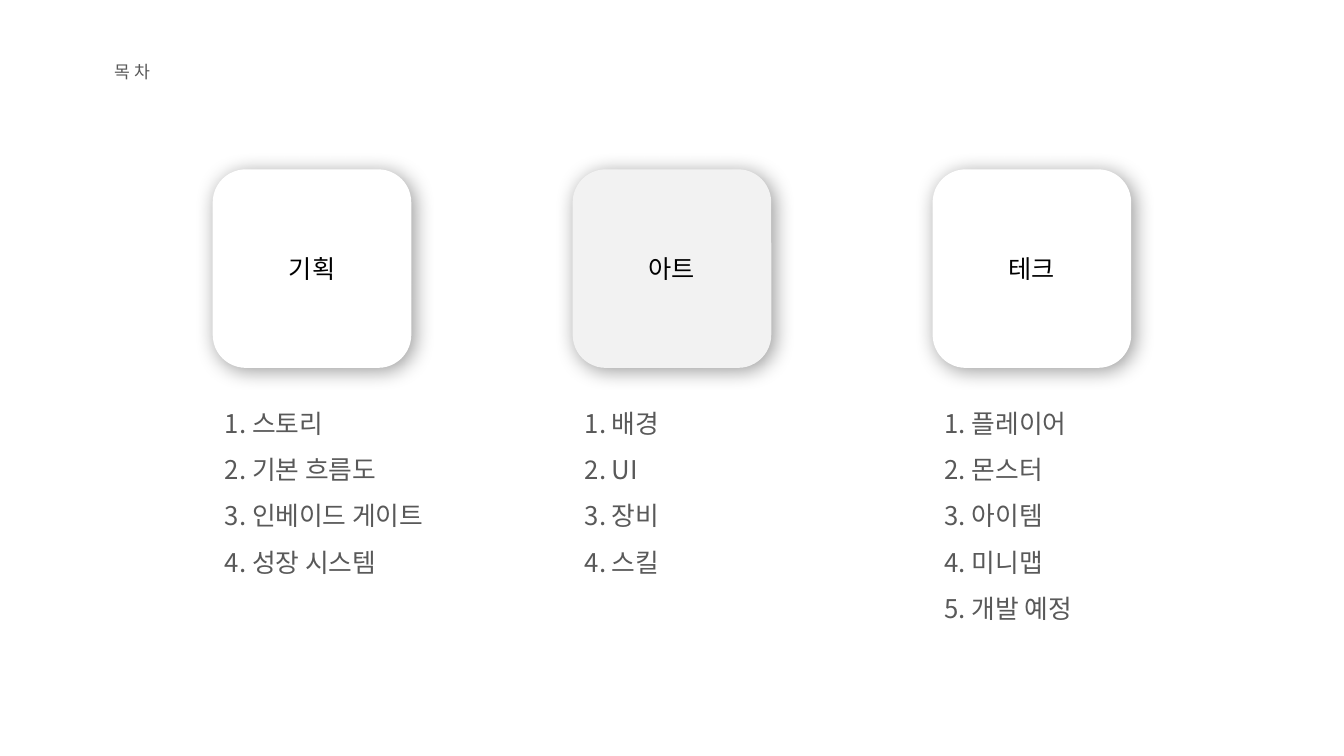
"""Builds the contents slide: three topic cards, each above its numbered list."""
from dataclasses import dataclass
from typing import Any

from lxml import etree
from pptx import Presentation
from pptx import util as u
from pptx.dml.color import RGBColor
from pptx.enum import shapes, text
from pptx.oxml import ns, parse_xml


@dataclass(frozen=True)
class Theme:
    font: str = "Noto Sans CJK KR"
    ink: str = "595959"
    card_ink: str = "000000"
    white: str = "FFFFFF"
    grey: str = "F2F2F2"
    shadow: str = "000000"
    title_size: float = 12.3
    card_size: float = 18
    list_size: float = 18.4


@dataclass(frozen=True)
class Section:
    heading: str
    fill: str
    topics: tuple[str, ...]
    list_width: float
    list_height: float


THEME = Theme()
SECTIONS = (
    Section("기획", THEME.white, ("스토리", "기본 흐름도", "인베이드 게이트", "성장 시스템"), 2.57, 1.98),
    Section("아트", THEME.grey, ("배경", "UI", "장비", "스킬"), 1.97, 1.98),
    Section("테크", THEME.white, ("플레이어", "몬스터", "아이템", "미니맵", "개발 예정"), 1.97, 2.44),
)
FIRST_LEFT, COLUMN_STEP = 2.11, 3.57
CARD_TOP, CARD_SIDE, LIST_TOP = 1.68, 1.97, 3.83
FRAME_FORMAT = {
    "margin_left": u.Inches(0.12),
    "margin_right": u.Inches(0.12),
    "margin_top": u.Inches(0.06),
    "margin_bottom": u.Inches(0.06),
    "word_wrap": True,
    "vertical_anchor": text.MSO_ANCHOR.TOP,
    "auto_size": text.MSO_AUTO_SIZE.SHAPE_TO_FIT_TEXT,
}
LINE_FORMAT = {
    "alignment": text.PP_ALIGN.LEFT,
    "space_before": u.Pt(0),
    "space_after": u.Pt(0),
}


def apply(target: Any, values: dict[str, Any]) -> None:
    for name, value in values.items():
        setattr(target, name, value)


def place(shape: Any, left: float, top: float, width: float, height: float) -> None:
    apply(shape, {
        "left": u.Inches(left),
        "top": u.Inches(top),
        "width": u.Inches(width),
        "height": u.Inches(height),
    })


def write(paragraph: Any, words: str, size: float, color: str) -> None:
    run = paragraph.add_run()
    run.text = words
    run.font.color.rgb = RGBColor.from_string(color)
    apply(run.font, {"size": u.Pt(size), "bold": False, "name": THEME.font})
    east_asian = etree.SubElement(run.font._element, ns.qn("a:ea"))
    east_asian.set("typeface", THEME.font)


def fill_placeholder(holder: Any, lines: list[str], size: float, spacing: float) -> None:
    frame = holder.text_frame
    apply(frame, FRAME_FORMAT)
    for index, line in enumerate(lines):
        paragraph = frame.add_paragraph() if index else frame.paragraphs[0]
        apply(paragraph, {**LINE_FORMAT, "line_spacing": spacing})
        properties = paragraph._p.get_or_add_pPr()
        properties.set("marL", "0")
        properties.set("indent", "0")
        etree.SubElement(properties, ns.qn("a:buNone"))
        write(paragraph, line, size, THEME.ink)


def add_shadow(card: Any) -> None:
    card.shadow.inherit = False
    effects = card._element.spPr.find(ns.qn("a:effectLst"))
    effects.append(parse_xml(
        f'<a:outerShdw {ns.nsdecls("a")} blurRad="{u.Pt(15)}" dist="{u.Pt(3)}" '
        f'dir="2700000" algn="tl" rotWithShape="0"><a:srgbClr val="{THEME.shadow}">'
        '<a:alpha val="40000"/></a:srgbClr></a:outerShdw>'
    ))


def add_card(slide: Any, section: Section, left: float) -> None:
    card = slide.shapes.add_shape(
        shapes.MSO_SHAPE.ROUNDED_RECTANGLE,
        *map(u.Inches, (left, CARD_TOP, CARD_SIDE, CARD_SIDE)),
    )
    card.fill.solid()
    card.fill.fore_color.rgb = RGBColor.from_string(section.fill)
    card.line.fill.background()
    add_shadow(card)
    card.text_frame.vertical_anchor = text.MSO_ANCHOR.MIDDLE
    heading = card.text_frame.paragraphs[0]
    heading.alignment = text.PP_ALIGN.CENTER
    write(heading, section.heading, THEME.card_size, THEME.card_ink)


def main() -> None:
    deck = Presentation()
    apply(deck, {"slide_width": u.Inches(13.33), "slide_height": u.Inches(7.5)})
    slide = deck.slides.add_slide(deck.slide_layouts.get_by_name("Comparison"))
    title, *bodies = slide.placeholders
    place(title, 1.02, 0.55, 1.85, 0.33)
    fill_placeholder(title, ["목 차"], THEME.title_size, 1.0)
    for column, (section, body) in enumerate(zip(SECTIONS, bodies)):
        left = FIRST_LEFT + column * COLUMN_STEP
        place(body, left, LIST_TOP, section.list_width, section.list_height)
        numbered = [f"{number}. {topic}" for number, topic in enumerate(section.topics, 1)]
        fill_placeholder(body, numbered, THEME.list_size, 1.5)
        add_card(slide, section, left)
    for unused in bodies[len(SECTIONS):]:
        unused._element.getparent().remove(unused._element)
    deck.save("out.pptx")


if __name__ == "__main__":
    main()
